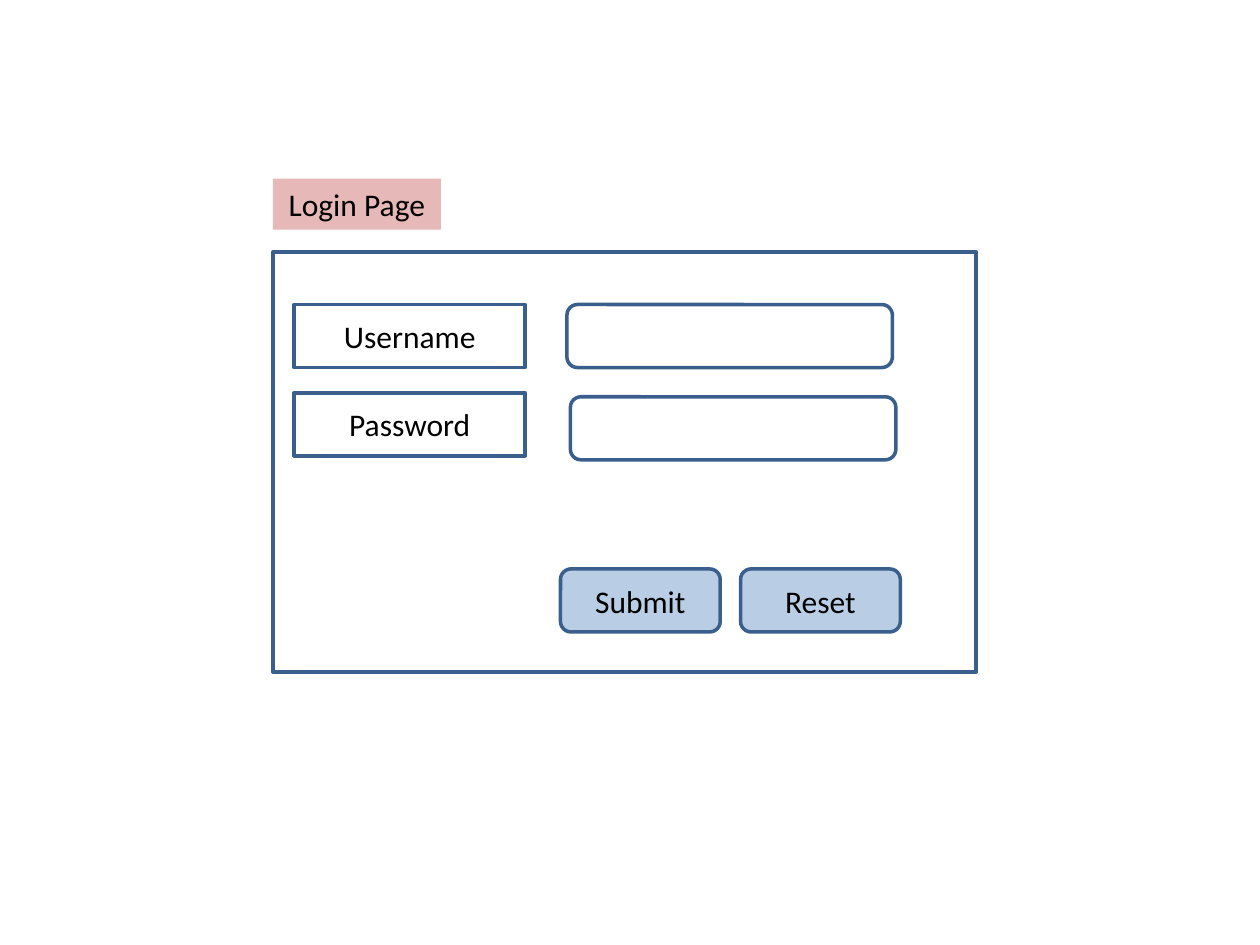
from pptx import Presentation
from pptx.dml.color import RGBColor
from pptx.enum.shapes import MSO_SHAPE
from pptx.enum.text import MSO_ANCHOR, PP_ALIGN
from pptx.util import Cm, Pt

RECTANGLE = MSO_SHAPE.RECTANGLE
ROUNDED = MSO_SHAPE.ROUNDED_RECTANGLE
MIDDLE = MSO_ANCHOR.MIDDLE
CENTER = PP_ALIGN.CENTER

WHITE = RGBColor(0xFF, 0xFF, 0xFF)
BLACK = RGBColor(0x00, 0x00, 0x00)
BORDER_BLUE = RGBColor(0x3A, 0x5F, 0x8C)
BUTTON_BLUE = RGBColor(0xB9, 0xCD, 0xE5)
TITLE_PINK = RGBColor(0xE6, 0xB9, 0xB8)

ROW_HEIGHT = 1.27
LABEL_LEFT, LABEL_WIDTH = 5.93, 4.66
FIELD_WIDTH = 6.56
BUTTON_TOP, BUTTON_WIDTH = 11.47, 3.22


def add_box(slide, kind, left, top, width, height, fill=WHITE, border=BORDER_BLUE):
    """Add a filled box, outlined unless border is None; lengths in cm."""
    box = slide.shapes.add_shape(kind, Cm(left), Cm(top), Cm(width), Cm(height))
    box.shadow.inherit = False
    box.fill.solid()
    box.fill.fore_color.rgb = fill
    if border is None:
        box.line.fill.background()
    else:
        box.line.color.rgb = border
        box.line.width = Pt(2)
    return box


def write_caption(box, caption):
    """Write a centred black caption into a box."""
    frame = box.text_frame
    frame.text = caption
    frame.word_wrap = True
    frame.vertical_anchor = MIDDLE
    paragraph = frame.paragraphs[0]
    paragraph.alignment = CENTER
    font = paragraph.runs[0].font
    font.name = "Calibri"
    font.size = Pt(18)
    font.color.rgb = BLACK


def add_title(slide, caption):
    """Add the page title tag above the form."""
    title = add_box(slide, RECTANGLE, 5.5, 3.6, 3.39, 1.03, TITLE_PINK, None)
    write_caption(title, caption)
    title.text_frame.word_wrap = False


def add_label(slide, caption, top):
    """Add the label of a form row."""
    label = add_box(slide, RECTANGLE, LABEL_LEFT, top, LABEL_WIDTH, ROW_HEIGHT)
    write_caption(label, caption)


def add_field(slide, left, top):
    """Add an empty input field."""
    add_box(slide, ROUNDED, left, top, FIELD_WIDTH, ROW_HEIGHT)


def add_button(slide, caption, left):
    """Add a form button."""
    button = add_box(slide, ROUNDED, left, BUTTON_TOP, BUTTON_WIDTH, ROW_HEIGHT, BUTTON_BLUE)
    write_caption(button, caption)


def main():
    """Build the login page wireframe."""
    presentation = Presentation()
    presentation.slide_width = Cm(25.4)
    presentation.slide_height = Cm(19.05)
    slide = presentation.slides.add_slide(presentation.slide_layouts[6])

    add_box(slide, RECTANGLE, 5.5, 5.08, 14.18, 8.47)
    add_title(slide, "Login Page")
    for caption, top in (("Username", 6.14), ("Password", 7.92)):
        add_label(slide, caption, top)
    for left, top in ((11.43, 6.14), (11.5, 8)):
        add_field(slide, left, top)
    for caption, left in (("Submit", 11.3), ("Reset", 14.93)):
        add_button(slide, caption, left)

    presentation.save("out.pptx")


if __name__ == "__main__":
    main()
